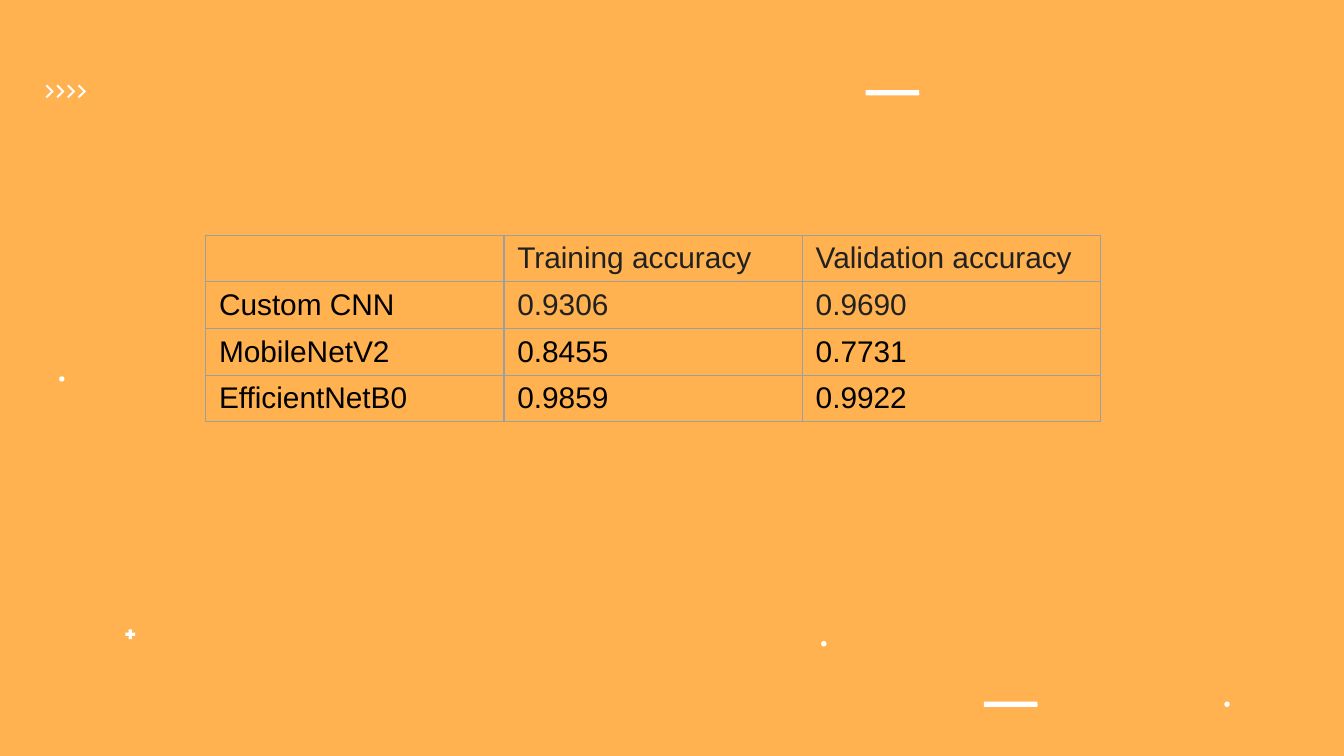
import lxml.etree
import pptx
import pptx.dml.color
import pptx.enum.shapes
import pptx.oxml.ns
import pptx.util

Inches = pptx.util.Inches
RGBColor = pptx.dml.color.RGBColor
SHAPE = pptx.enum.shapes.MSO_SHAPE

ORANGE = RGBColor(0xFF, 0xB2, 0x4F)
WHITE = RGBColor(0xFF, 0xFF, 0xFF)
BLACK = RGBColor(0x00, 0x00, 0x00)
CHARCOAL = RGBColor(0x21, 0x21, 0x21)
GREY = RGBColor(0x9E, 0x9E, 0x9E)

DOTS = [(0.44, 2.8), (6.11, 4.77), (9.11, 5.22)]
BARS = [(6.44, 0.67), (7.32, 5.22)]
CHEVRON = [(0.01, 0), (0, 0.01), (0.04, 0.05), (0, 0.09), (0.01, 0.1), (0.06, 0.05)]

ACCURACIES = [
    ("", "Training accuracy", "Validation accuracy"),
    ("Custom CNN", "0.9306", "0.9690"),
    ("MobileNetV2", "0.8455", "0.7731"),
    ("EfficientNetB0", "0.9859", "0.9922"),
]


def paint_white(ornament):
    """Give an ornament a plain white fill with no line or shadow."""
    ornament.fill.solid()
    ornament.fill.fore_color.rgb = WHITE
    ornament.line.fill.background()
    ornament.shadow.inherit = False


def add_ornament(slide, preset, left, top, width, height, adjustment=None):
    """Place one white preset shape."""
    ornament = slide.shapes.add_shape(
        preset, Inches(left), Inches(top), Inches(width), Inches(height))
    if adjustment is not None:
        ornament.adjustments[0] = adjustment
    paint_white(ornament)


def add_chevrons(slide, left, top, count=4, pitch=0.08):
    """Place a row of evenly spaced chevrons."""
    for index in range(count):
        corners = [(Inches(left + index * pitch + x), Inches(top + y))
                   for x, y in CHEVRON]
        outline = slide.shapes.build_freeform(*corners[0])
        outline.add_line_segments(corners[1:], close=True)
        paint_white(outline.convert_to_shape())


def add_decorations(slide):
    """Scatter the dots, plus sign, chevrons and bars over the slide."""
    for left, top in DOTS:
        add_ornament(slide, SHAPE.OVAL, left, top, 0.04, 0.04)
    add_ornament(slide, SHAPE.MATH_PLUS, 0.92, 4.67, 0.1, 0.1, 0.235)
    add_chevrons(slide, 0.34, 0.63)
    for left, top in BARS:
        add_ornament(slide, SHAPE.ROUNDED_RECTANGLE, left, top, 0.4, 0.04, 0.167)


def set_borders(cell):
    """Draw a thin grey line on all four sides of a cell."""
    properties = cell._tc.get_or_add_tcPr()
    for position, side in enumerate(("a:lnL", "a:lnR", "a:lnT", "a:lnB")):
        border = lxml.etree.Element(
            pptx.oxml.ns.qn(side), w=str(pptx.util.Pt(0.75)))
        fill = lxml.etree.SubElement(border, pptx.oxml.ns.qn("a:solidFill"))
        lxml.etree.SubElement(fill, pptx.oxml.ns.qn("a:srgbClr"), val=str(GREY))
        properties.insert(position, border)


def add_accuracy_table(slide, left, top, width, height):
    """Place the table of model accuracies in the given box."""
    table = slide.shapes.add_table(
        len(ACCURACIES), len(ACCURACIES[0]), Inches(left), Inches(top),
        Inches(width), Inches(height)).table
    table.first_row = False
    table.horz_banding = False
    for row, values in enumerate(ACCURACIES):
        for column, value in enumerate(values):
            cell = table.cell(row, column)
            cell.text = value
            cell.fill.background()
            cell.margin_left = cell.margin_right = Inches(0.1)
            cell.margin_top = cell.margin_bottom = Inches(0.05)
            font = cell.text_frame.paragraphs[0].font
            font.name = "Arial"
            font.size = pptx.util.Pt(16)
            font.color.rgb = CHARCOAL if row < 2 and column > 0 else BLACK
            set_borders(cell)


def main():
    """Build and save the accuracy slide."""
    deck = pptx.Presentation()
    deck.slide_width = Inches(10)
    deck.slide_height = deck.slide_width * 9 // 16
    slide = deck.slides.add_slide(deck.slide_layouts[6])
    slide.background.fill.solid()
    slide.background.fill.fore_color.rgb = ORANGE
    add_decorations(slide)
    add_accuracy_table(slide, 1.53, 1.75, 6.66, 1.16)
    deck.save("out.pptx")


if __name__ == "__main__":
    main()
